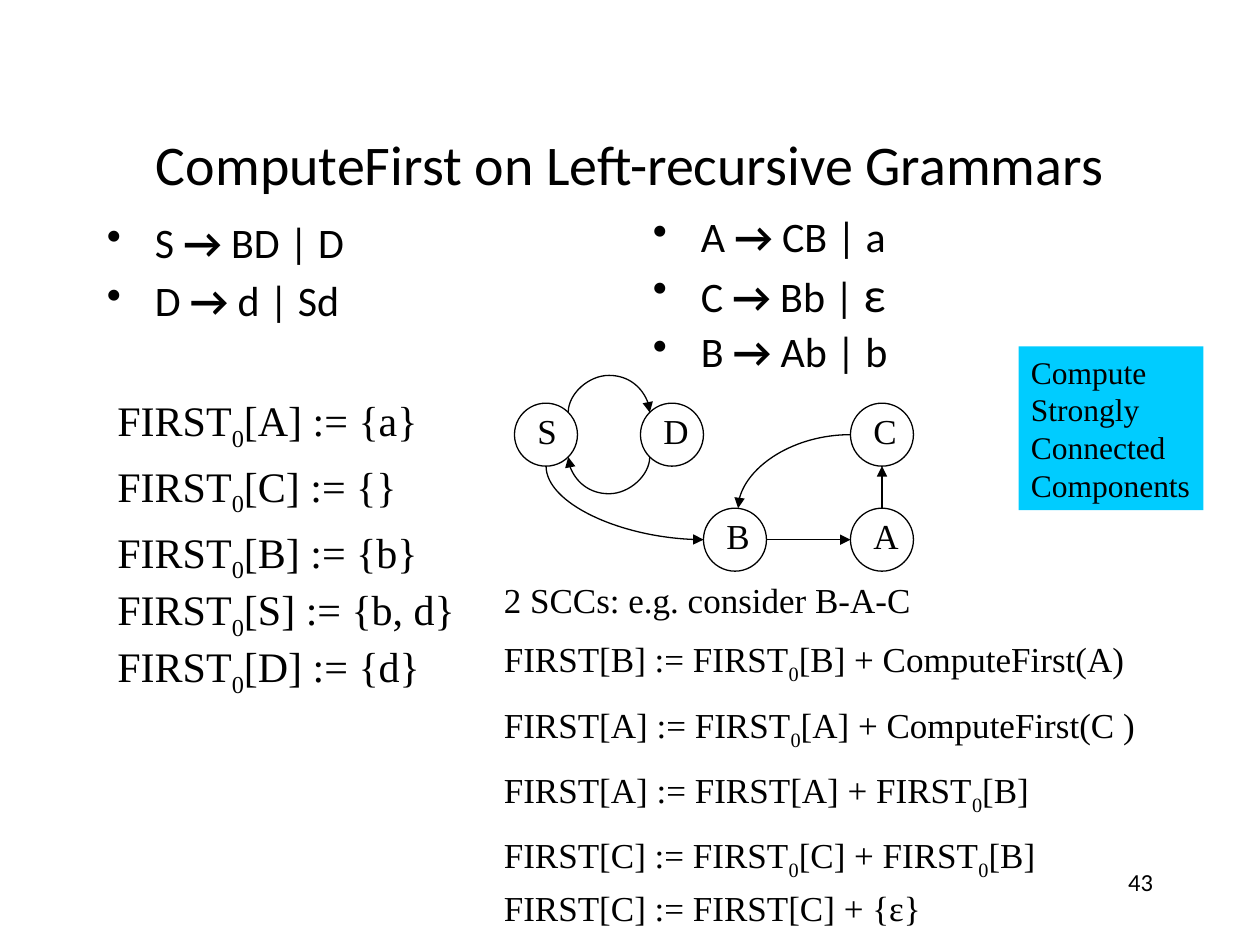
from lxml import etree
from pptx import Presentation
from pptx.dml.color import RGBColor
from pptx.enum.shapes import MSO_CONNECTOR, MSO_SHAPE
from pptx.enum.text import MSO_ANCHOR, MSO_AUTO_SIZE, PP_ALIGN
from pptx.oxml.ns import qn
from pptx.util import Emu, Inches, Pt

OVAL, RECT = MSO_SHAPE.OVAL, MSO_SHAPE.RECTANGLE
STRAIGHT, CURVE = MSO_CONNECTOR.STRAIGHT, MSO_CONNECTOR.CURVE
LEFT, CENTER, RIGHT = PP_ALIGN.LEFT, PP_ALIGN.CENTER, PP_ALIGN.RIGHT
TOP, MIDDLE = MSO_ANCHOR.TOP, MSO_ANCHOR.MIDDLE
GROW = MSO_AUTO_SIZE.SHAPE_TO_FIT_TEXT
SANS, SERIF = "Calibri", "Times New Roman"
COLS, ROWS = 120, 90  # grid of square cells, twelve to the inch
HAIRLINE = 1588  # EMU depth of a looping connector's box


def color(hex_text):
    return RGBColor.from_string(hex_text)


def grid(cells):
    return Inches(cells / 12)


def subscripted(text):
    """Runs for a line in which ₀ marks a subscript zero."""
    first, *rest = text.split("₀")
    runs = [(first, {})]
    for part in rest:
        runs += [("0", {"base": -25}), (part, {})]
    return runs


def production(symbol, body, *extra):
    return [(symbol + " ", {}), ("→ ", {"bold": True}), (body, {}), *extra]


class GrammarSlide:
    ink = "000000"
    line_width = Pt(0.75)

    def __init__(self, prs):
        self.slide = prs.slides.add_slide(prs.slide_layouts[5])
        self.shapes = self.slide.shapes

    def add_lines(self, frame, lines, size, font, gaps=0, align=LEFT,
                  bullet=False, spacing=None):
        """Fill a frame; each line is a list of (text, style) runs."""
        if isinstance(gaps, (int, float)):
            gaps = [0] + [gaps] * (len(lines) - 1)
        for i, (line, gap) in enumerate(zip(lines, gaps)):
            par = frame.paragraphs[0] if i == 0 else frame.add_paragraph()
            if bullet:
                props = par._p.get_or_add_pPr()
                props.set("marL", str(Inches(0.38)))
                props.set("indent", str(-Inches(0.38)))
                etree.SubElement(props, qn("a:buChar")).set("char", "•")
            par.alignment = align
            par.space_before = Pt(gap)
            if spacing:
                par.line_spacing = spacing
            for text, style in line:
                run = par.add_run()
                run.text = text
                run.font.name = font
                run.font.size = Pt(style.get("size", size))
                run.font.bold = style.get("bold", False)
                run.font.color.rgb = color(self.ink)
                if "base" in style:
                    run._r.get_or_add_rPr().set("baseline", str(style["base"] * 1000))

    def title(self, text, box):
        holder = self.shapes.title
        holder.left, holder.top, holder.width, holder.height = map(grid, box)
        holder.text_frame.vertical_anchor = MIDDLE
        self.add_lines(holder.text_frame, [[(text, {})]], 32, SANS, align=CENTER)

    def text(self, box, lines, size, font=SERIF, wrap=True, grow=False,
             parent=None, **style):
        area = (parent or self.shapes).add_textbox(*map(grid, box))
        frame = area.text_frame
        frame.word_wrap = wrap
        if grow:
            frame.auto_size = GROW
        self.add_lines(frame, lines, size, font, **style)

    def node(self, name, col, row, label_width):
        group = self.shapes.add_group_shape().shapes
        circle = group.add_shape(OVAL, *map(grid, (col, row, 6, 6)))
        circle.shadow.inherit = False
        circle.fill.background()
        circle.line.color.rgb = color(self.ink)
        circle.line.width = self.line_width
        self.text((col + 1, row, label_width, 5.2), [[(name, {})]], 20,
                  wrap=False, grow=True, parent=group)

    def callout(self, box, words, fill):
        panel = self.shapes.add_shape(RECT, *map(grid, box))
        panel.shadow.inherit = False
        panel.fill.solid()
        panel.fill.fore_color.rgb = color(fill)
        panel.line.fill.background()
        panel.text_frame.word_wrap = False
        panel.text_frame.vertical_anchor = TOP
        self.add_lines(panel.text_frame, [[(word, {})] for word in words], 18, SERIF)

    def arrow(self, start, end, kind=STRAIGHT):
        edge = self.shapes.add_connector(kind, *map(grid, (*start, *end)))
        edge.line.color.rgb = color(self.ink)
        edge.line.width = self.line_width
        props = edge._element.spPr
        etree.SubElement(props.find(qn("a:ln")), qn("a:tailEnd")).set("type", "triangle")
        etree.SubElement(props, qn("a:effectLst"))
        return edge

    def curve(self, start, end, turn, flip=None, bulge=None):
        """Curved arrow; a bulge loops out sideways, otherwise a quarter arc."""
        edge = self.arrow(start, end, CURVE)
        props = edge._element.spPr
        xfrm, shape = props.find(qn("a:xfrm")), props.find(qn("a:prstGeom"))
        for name in ("flipH", "flipV"):
            xfrm.attrib.pop(name, None)
        across, down = (grid(abs(b - a)) for a, b in zip(start, end))
        middle_x, middle_y = (grid((a + b) / 2) for a, b in zip(start, end))
        width, height = (across, down) if turn == 180 else (down, across)
        if bulge:
            width = HAIRLINE
            guides = shape.find(qn("a:avLst"))
            guide = etree.SubElement(guides, qn("a:gd"))
            guide.set("name", "adj1")
            guide.set("fmla", f"val {round(grid(bulge) / HAIRLINE * 100000)}")
        else:
            shape.set("prst", "curvedConnector2")
        edge.left, edge.top = Emu(middle_x - width // 2), Emu(middle_y - height // 2)
        edge.width, edge.height = Emu(width), Emu(height)
        xfrm.set("rot", str(turn * 60000))
        if flip:
            xfrm.set(flip, "1")


def main():
    prs = Presentation()
    prs.slide_width, prs.slide_height = grid(COLS), grid(ROWS)
    page = GrammarSlide(prs)

    # Title and grammar
    page.title("ComputeFirst on Left-recursive Grammars", (9, 8, 102, 15))
    page.text((9, 20, 50, 18),
              [production("S", "BD | D"), production("D", "d | Sd")],
              24, SANS, gaps=4.8, bullet=True)
    page.text((61, 20, 50, 18),
              [production("A", "CB | a"),
               production("C", "Bb | ", ("ε", {"size": 28})),
               production("B", "Ab | b")],
              24, SANS, gaps=4.8, bullet=True, spacing=0.9)
    page.text((86, 82, 25, 6), [[("43", {})]], 14, SANS, align=RIGHT)

    # Initial FIRST sets
    initial_sets = {"A": "{a}", "C": "{}", "B": "{b}", "S": "{b, d}", "D": "{d}"}
    page.text((10, 37, 35, 27.4),
              [subscripted(f"FIRST₀[{name}] := {members}")
               for name, members in initial_sets.items()],
              24, wrap=False, grow=True, gaps=[0, 4.8, 4.8, 0, 0])

    # Dependency graph
    upper, lower = 38.4, 48.4
    for name, col, row, label_width in (
            ("A", 81, lower, 4.8), ("C", 81, upper, 4.7), ("B", 67, lower, 4.7),
            ("D", 61, upper, 4.8), ("S", 49, upper, 4.3)):
        page.node(name, col, row, label_width)
    loop_left, loop_right = 54.12, 61.88
    loop_top, loop_bottom = upper + 0.88, upper + 5.12
    page.curve((loop_left, loop_top), (loop_right, loop_top), 90, "flipV", bulge=-3.88)
    page.curve((loop_right, loop_bottom), (loop_left, loop_bottom), 90, bulge=3.88)
    page.curve((52, upper + 6), (67, lower + 3), 270, "flipH")
    page.arrow((73, lower + 3), (81, lower + 3))
    page.arrow((84, lower), (84, upper + 6))
    page.curve((81, upper + 3), (70.3, lower), 180, "flipV")

    # Worked component and callout
    page.text((46.8, 54.5, 69, 29.5), [subscripted(line) for line in (
        "2 SCCs: e.g. consider B-A-C",
        "FIRST[B] := FIRST₀[B] + ComputeFirst(A)",
        "FIRST[A] := FIRST₀[A] + ComputeFirst(C )",
        "FIRST[A] := FIRST[A] + FIRST₀[B]",
        "FIRST[C] := FIRST₀[C] + FIRST₀[B]")], 20, grow=True, gaps=10)
    page.callout((97, 33, 17.6, 15.6),
                 ("Compute", "Strongly", "Connected", "Components"), "00CCFF")
    page.text((46.8, 83.8, 42.1, 5.2), [[("FIRST[C] := FIRST[C] + {ε}", {})]],
              20, wrap=False, grow=True)

    prs.save("out.pptx")


if __name__ == "__main__":
    main()
